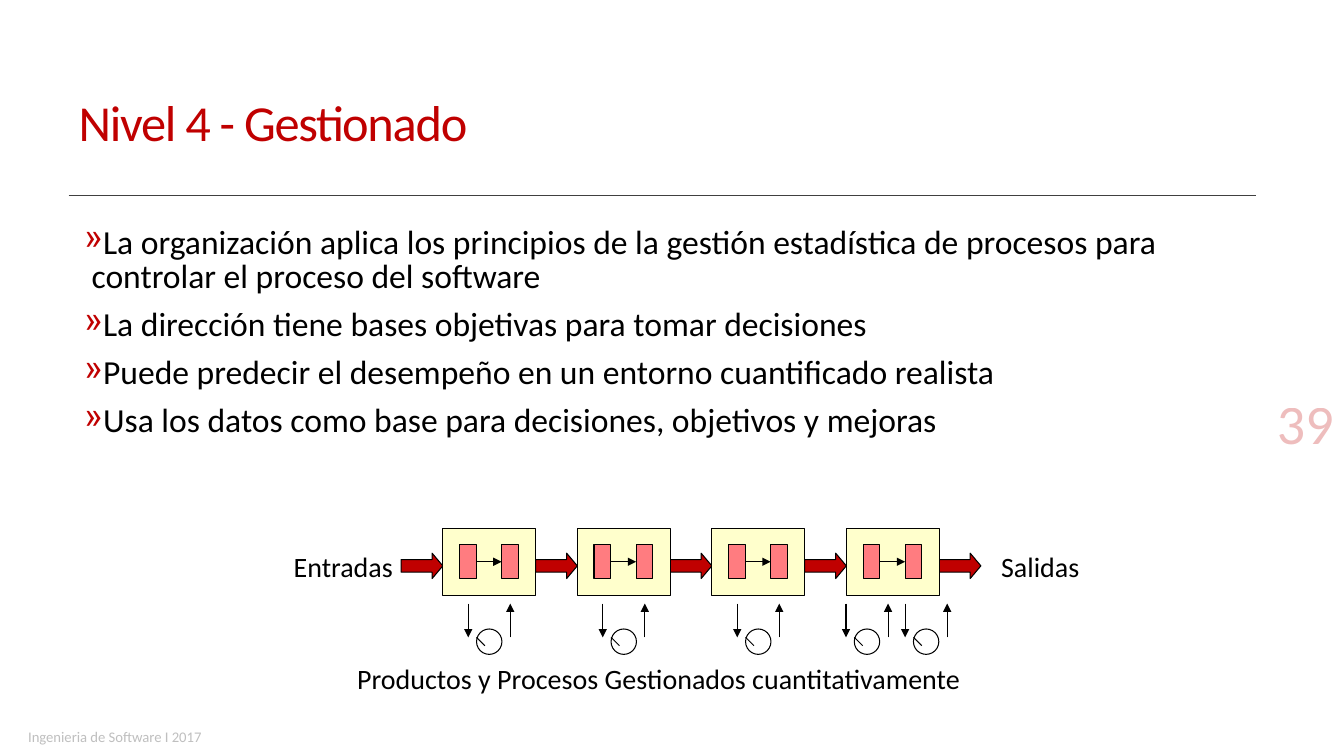
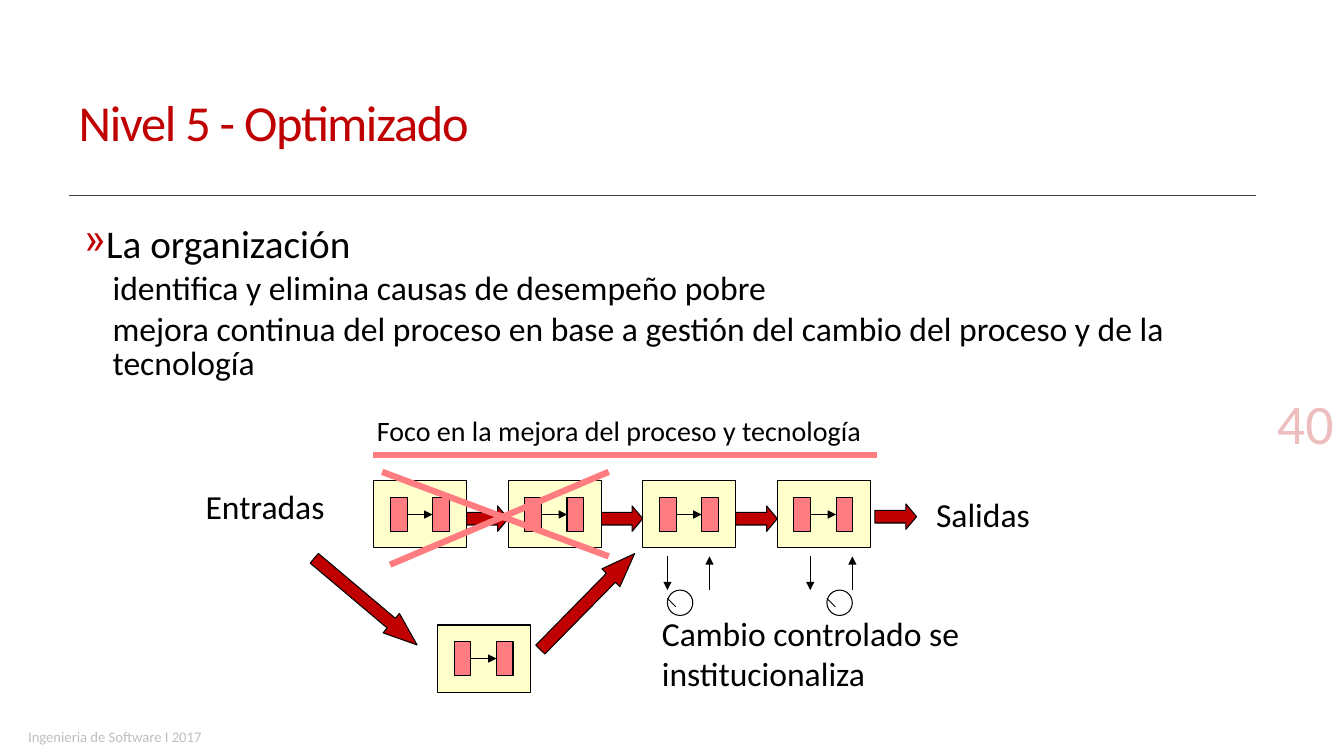
from dataclasses import dataclass

from lxml import etree
from pptx import Presentation
from pptx.dml.color import RGBColor
from pptx.enum.shapes import MSO_CONNECTOR, MSO_SHAPE
from pptx.enum.text import MSO_ANCHOR, PP_ALIGN
from pptx.oxml.ns import qn
from pptx.util import Cm, Pt

RECTANGLE = MSO_SHAPE.RECTANGLE
OVAL = MSO_SHAPE.OVAL
RIGHT_ARROW = MSO_SHAPE.RIGHT_ARROW
STRAIGHT = MSO_CONNECTOR.STRAIGHT
TOP, MIDDLE, BOTTOM = MSO_ANCHOR.TOP, MSO_ANCHOR.MIDDLE, MSO_ANCHOR.BOTTOM
LEFT, RIGHT = PP_ALIGN.LEFT, PP_ALIGN.RIGHT


@dataclass(frozen=True)
class Theme:
    font: str = "Calibri"
    accent: str = "C00000"
    text: str = "000000"
    rule: str = "404040"
    footer: str = "BFBFBF"
    stage: str = "FFFFCC"
    step: str = "FF7C80"
    title_size: float = 36
    number_size: float = 40
    lead_size: float = 28
    body_size: float = 24
    label_size: float = 20
    footer_size: float = 10.5
    thin: float = 0.75
    thick: float = 4.5
    tight: float = 0.85


THEME = Theme()

# Process diagram, in centimetres
STAGE_WIDTH, STAGE_HEIGHT = 2.34, 1.69
STAGE_PITCH = 3.39
ARROW_LENGTH = STAGE_PITCH - STAGE_WIDTH
ARROW_HEIGHT = 0.64
ARROW_DROP = 0.63
LONG_ARROW = 3.39
STEP_WIDTH, STEP_HEIGHT = 0.42, 0.85
STEP_LEFTS = (0.42, 1.48)
STEP_TOP = 0.42
DIAL_SIZE, NEEDLE = 0.64, 0.21
SIGNAL_LENGTH, SIGNAL_GAP = 0.85, 1.06


def text_frame(page, box, anchor=TOP):
    frame = page.shapes.add_textbox(*map(Cm, box)).text_frame
    frame.word_wrap = True
    frame.vertical_anchor = anchor
    return frame


def write(frame, text, size=THEME.body_size, color=THEME.text, align=LEFT,
          line_spacing=None, before=0, margin=0, hanging=0, bullet=None,
          tracking=None, opacity=None):
    """Write one paragraph; the first call fills the frame's empty one."""
    para = frame.paragraphs[0] if not frame.text else frame.add_paragraph()
    para.alignment = align
    para.space_before = Pt(before)
    if line_spacing:
        para.line_spacing = line_spacing
    properties = para._p.get_or_add_pPr()
    properties.set("marL", str(Cm(margin)))
    properties.set("indent", str(Cm(-hanging)))
    if bullet:
        bullet_color = etree.SubElement(properties, qn("a:buClr"))
        etree.SubElement(bullet_color, qn("a:srgbClr"), val=THEME.accent)
        etree.SubElement(properties, qn("a:buChar"), char=bullet)
    span = para.add_run()
    span.text = text
    span.font.name = THEME.font
    span.font.size = Pt(size)
    span.font.color.rgb = RGBColor.from_string(color)
    if tracking:
        span._r.get_or_add_rPr().set("spc", str(round(tracking * 100)))
    if opacity:
        tint = span._r.find(".//" + qn("a:srgbClr"))
        etree.SubElement(tint, qn("a:alpha"), val=str(opacity * 1000))


def label(page, box, text, **text_format):
    write(text_frame(page, box), text, **text_format)


def add_shape(canvas, kind, box, fill=None):
    shape = canvas.shapes.add_shape(kind, *map(Cm, box))
    shape.shadow.inherit = False
    if fill:
        shape.fill.solid()
        shape.fill.fore_color.rgb = RGBColor.from_string(fill)
    else:
        shape.fill.background()
    shape.line.color.rgb = RGBColor.from_string(THEME.text)
    shape.line.width = Pt(THEME.thin)
    return shape


def add_line(canvas, start, end, color=THEME.text, width=THEME.thin, arrow=False):
    line = canvas.shapes.add_connector(STRAIGHT, *map(Cm, (*start, *end)))
    line.line.color.rgb = RGBColor.from_string(color)
    line.line.width = Pt(width)
    if arrow:
        etree.SubElement(line.line._get_or_add_ln(), qn("a:tailEnd"), type="triangle")
    etree.SubElement(line._element.spPr, qn("a:effectLst"))


def flow_arrow(page, left, top, length=ARROW_LENGTH, rotation=0):
    arrow = add_shape(page, RIGHT_ARROW, (left, top, length, ARROW_HEIGHT), THEME.accent)
    arrow.adjustments[0] = 0.5
    arrow.adjustments[1] = 0.42 if length == ARROW_LENGTH else 1.33
    arrow.rotation = rotation


def stage(page, left, top):
    """A process box with two linked steps."""
    group = page.shapes.add_group_shape()
    add_shape(group, RECTANGLE, (left, top, STAGE_WIDTH, STAGE_HEIGHT), THEME.stage)
    for step_left in STEP_LEFTS:
        add_shape(group, RECTANGLE,
                  (left + step_left, top + STEP_TOP, STEP_WIDTH, STEP_HEIGHT), THEME.step)
    middle = top + STEP_TOP + STEP_HEIGHT / 2
    add_line(group, (left + STEP_LEFTS[0] + STEP_WIDTH, middle),
             (left + STEP_LEFTS[1], middle), arrow=True)


def stage_row(page, left, top, arrow_slots):
    """Four stages; arrow slot n lies just before stage n."""
    for slot in arrow_slots:
        flow_arrow(page, left + slot * STAGE_PITCH - ARROW_LENGTH, top + ARROW_DROP)
    for index in range(4):
        stage(page, left + index * STAGE_PITCH, top)


def gauge(page, left, top, dial_left=0.21, dial_top=0.64):
    """A dial with one signal going down and one coming back up."""
    group = page.shapes.add_group_shape()
    bottom, right = top + SIGNAL_LENGTH, left + SIGNAL_GAP
    dial_x, dial_y = left + dial_left, top + dial_top
    add_shape(group, OVAL, (dial_x, dial_y, DIAL_SIZE, DIAL_SIZE))
    add_line(group, (dial_x, dial_y + NEEDLE), (dial_x + NEEDLE, dial_y + 2 * NEEDLE))
    add_line(group, (left, top), (left, bottom), arrow=True)
    add_line(group, (right, bottom), (right, top), arrow=True)


def add_page(deck, title, number):
    """Add a page with its title, rule, footer and number."""
    page = deck.slides.add_slide(deck.slide_layouts[6])
    add_line(page, (1.73, 4.93), (31.65, 4.93), THEME.rule)
    write(text_frame(page, (1.73, 1.4, 30.02, 3.53), MIDDLE), title,
          size=THEME.title_size, color=THEME.accent,
          line_spacing=THEME.tight, tracking=-0.9)
    label(page, (0.46, 18.21, 6, 0.58), "Ingenieria de Software I 2017",
          size=THEME.footer_size, color=THEME.footer)
    write(text_frame(page, (25.73, 7.72, 8.13, 3.89), BOTTOM), str(number),
          size=THEME.number_size, color=THEME.accent, align=RIGHT, opacity=25)
    return page


def body_frame(page):
    return text_frame(page, (1.88, 5.59, 29.87, 10.46))


def write_bullet(frame, text, size=THEME.body_size):
    write(frame, text, size=size, line_spacing=THEME.tight, before=9.8,
          margin=0.18, hanging=0.18, bullet="»")


def managed_diagram(page, left, top):
    label(page, (left - 4.01, top + 0.41, 3.23, 1.09), "Entradas", size=THEME.label_size)
    label(page, (left + 13.82, top + 0.41, 4.65, 1.09), "Salidas", size=THEME.label_size)
    stage_row(page, left, top, range(5))
    for offset in (0.64, 4.03, 7.42, 10.16, 11.65):
        gauge(page, left + offset, top + 1.9)
    label(page, (left - 2.41, top + 3.23, 18, 1.12),
          "Productos y Procesos Gestionados cuantitativamente", size=THEME.label_size)


def optimized_diagram(page, left, top):
    label(page, (left - 4.49, top, 4.01, 1.27), "Entradas")
    label(page, (left + 13.92, top + 0.2, 4.65, 1.27), "Salidas")
    flow_arrow(page, left - 1.9, top + 2.72, LONG_ARROW, 40.1)
    label(page, (left + 7.01, top + 3.2, 12, 2.31), "Cambio controlado se institucionaliza")
    stage_row(page, left, top, range(1, 4))
    flow_arrow(page, left + 12.63, top + 0.58)
    label(page, (left - 0.17, top - 1.83, 15.24, 1.09),
          "Foco en la mejora del proceso y tecnología", size=THEME.label_size)
    for (start_x, start_y), (end_x, end_y) in (
            ((0.21, -0.23), (5.92, 1.9)),
            ((0.41, 2.11), (5.92, -0.23)),
            ((-0.02, -0.66), (12.68, -0.66))):
        add_line(page, (left + start_x, top + start_y), (left + end_x, top + end_y),
                 THEME.step, THEME.thick)
    stage(page, left + 1.61, top + 3.63)
    flow_arrow(page, left + 3.69, top + 2.72, LONG_ARROW, 314.5)
    for offset, dial_left in ((7.4, 0), (11, 0.42)):
        gauge(page, left + offset, top + 1.9, dial_left, SIGNAL_LENGTH)


def managed_page(deck):
    page = add_page(deck, "Nivel 4 - Gestionado", 39)
    body = body_frame(page)
    for text in (
            "La organización aplica los principios de la gestión estadística de procesos "
            "para controlar el proceso del software",
            "La dirección tiene bases objetivas para tomar decisiones",
            "Puede predecir el desempeño en un entorno cuantificado realista",
            "Usa los datos como base para decisiones, objetivos y mejoras"):
        write_bullet(body, text)
    managed_diagram(page, 11.16, 13.31)


def optimized_page(deck):
    page = add_page(deck, "Nivel 5 - Optimizado", 40)
    body = body_frame(page)
    write_bullet(body, "La organización", THEME.lead_size)
    for text in (
            "identifica y elimina causas de desempeño pobre",
            "mejora continua del proceso en base a gestión del cambio del proceso "
            "y de la tecnología"):
        write(body, text, line_spacing=THEME.tight, before=4.5, margin=0.71)
    optimized_diagram(page, 9.42, 12.12)


def main():
    deck = Presentation()
    deck.slide_width, deck.slide_height = Cm(33.87), Cm(19.05)
    managed_page(deck)
    optimized_page(deck)
    deck.save("out.pptx")


if __name__ == "__main__":
    main()
